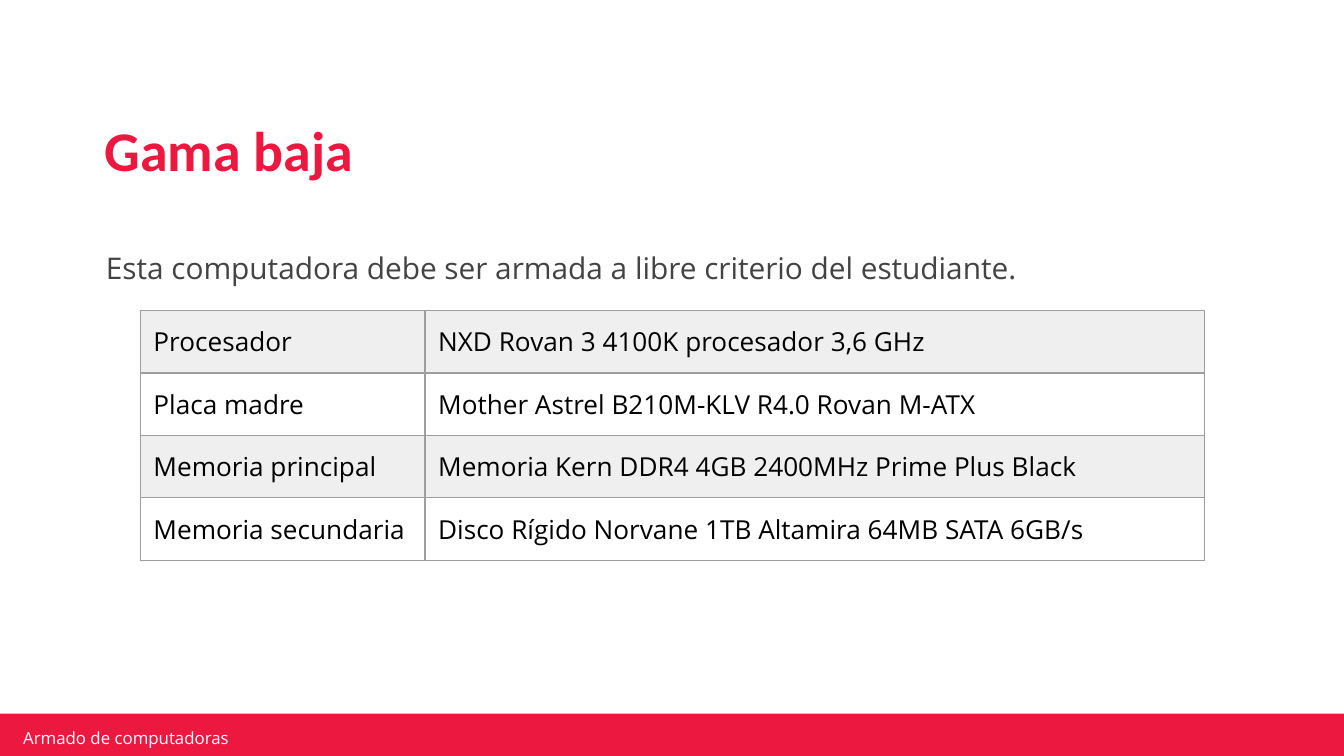
from lxml import etree
from pptx import Presentation
from pptx import util as u
from pptx.dml import color
from pptx.enum import dml, shapes, text
from pptx.oxml import ns

RED = "EC183F"
COMPONENTS = [
    ("Procesador", "NXD Rovan 3 4100K procesador 3,6 GHz"),
    ("Placa madre", "Mother Astrel B210M-KLV R4.0 Rovan M-ATX"),
    ("Memoria principal", "Memoria Kern DDR4 4GB 2400MHz Prime Plus Black"),
    ("Memoria secundaria", "Disco Rígido Norvane 1TB Altamira 64MB SATA 6GB/s"),
]


def rgb(value):
    return color.RGBColor.from_string(value)


class SlideBuilder:
    """Hold the shared style and the slide being filled."""

    font = "Open Sans"
    border_color = "9E9E9E"
    border_width = 0.75
    band_color = "EFEFEF"

    def __init__(self, slide):
        self.slide = slide

    def format_paragraph(self, paragraph, ink, spacing=None, **values):
        for name, value in {"name": self.font, **values}.items():
            setattr(paragraph.font, name, value)
        paragraph.font.color.rgb = rgb(ink)
        if spacing:
            paragraph.line_spacing = spacing

    def add_text(self, content, box, insets, anchor, **values):
        """Add a text box; insets are horizontal and vertical."""
        frame = self.slide.shapes.add_textbox(*map(u.Cm, box)).text_frame
        horizontal, vertical = map(u.Cm, insets)
        settings = {
            "word_wrap": True, "vertical_anchor": anchor,
            "margin_left": horizontal, "margin_right": horizontal,
            "margin_top": vertical, "margin_bottom": vertical,
        }
        for name, value in settings.items():
            setattr(frame, name, value)
        frame.text = content
        self.format_paragraph(frame.paragraphs[0], **values)

    def add_bar(self, box, fill):
        shape = self.slide.shapes.add_shape(
            shapes.MSO_SHAPE.RECTANGLE, *map(u.Cm, box))
        shape.shadow.inherit = False
        shape.fill.solid()
        shape.fill.fore_color.rgb = rgb(fill)
        shape.line.fill.background()

    def add_dotted_line(self, start, end, ink):
        connector = self.slide.shapes.add_connector(
            shapes.MSO_CONNECTOR.STRAIGHT, *map(u.Cm, start + end))
        connector.line.color.rgb = rgb(ink)
        connector.line.width = u.Pt(0.75)
        connector.line.dash_style = dml.MSO_LINE.ROUND_DOT
        etree.SubElement(connector._element.spPr, ns.qn("a:effectLst"))

    def add_borders(self, cell):
        properties = cell._tc.get_or_add_tcPr()
        for index, side in enumerate(("lnL", "lnR", "lnT", "lnB")):
            border = etree.Element(
                ns.qn(f"a:{side}"), w=str(u.Pt(self.border_width)))
            fill = etree.SubElement(border, ns.qn("a:solidFill"))
            etree.SubElement(fill, ns.qn("a:srgbClr"), val=self.border_color)
            properties.insert(index, border)

    def add_table(self, rows, left, top, widths, row_height):
        frame = self.slide.shapes.add_table(
            len(rows), len(widths), u.Cm(left), u.Cm(top),
            u.Cm(sum(widths)), u.Cm(row_height * len(rows)))
        table = frame.table
        table.first_row = table.horz_banding = False
        for column, width in zip(table.columns, widths):
            column.width = u.Cm(width)
        for row_index, row in enumerate(rows):
            for column_index, content in enumerate(row):
                cell = table.cell(row_index, column_index)
                cell.text = content
                for side in ("left", "right", "top", "bottom"):
                    setattr(cell, f"margin_{side}", u.Cm(0.25))
                self.format_paragraph(
                    cell.text_frame.paragraphs[0], "000000", size=u.Pt(14))
                if row_index % 2 == 0:
                    cell.fill.solid()
                    cell.fill.fore_color.rgb = rgb(self.band_color)
                else:
                    cell.fill.background()
                self.add_borders(cell)


def main():
    presentation = Presentation()
    presentation.slide_width = u.Cm(25.4)
    presentation.slide_height = u.Cm(14.29)
    slide = presentation.slides.add_slide(presentation.slide_layouts[6])
    builder = SlideBuilder(slide)
    middle, top = text.MSO_ANCHOR.MIDDLE, text.MSO_ANCHOR.TOP

    builder.add_dotted_line((-0.05, 13.51), (25.45, 13.51), "FCD8D6")
    builder.add_bar((-0.05, 13.49, 25.48, 0.91), RED)
    builder.add_text("Armado de computadoras", (0.31, 13.75, 6.07, 0.38),
                     (0.13, 0.05), middle, ink="FFFFFF", size=u.Pt(9))
    builder.add_text("Gama baja", (1.75, 1.72, 21.34, 2.36),
                     (0.23, 0.1), middle, ink=RED, spacing=0.9,
                     name="Calibri", size=u.Pt(30), bold=True)
    builder.add_table(COMPONENTS, 2.65, 5.87, (5.38, 14.73), 1.18)
    builder.add_text(
        "Esta computadora debe ser armada a libre criterio del estudiante.",
        (1.75, 4.25, 22.43, 0.76), (0.25, 0.13), top,
        ink="434343", spacing=1.5, size=u.Pt(16))
    presentation.save("out.pptx")


if __name__ == "__main__":
    main()
